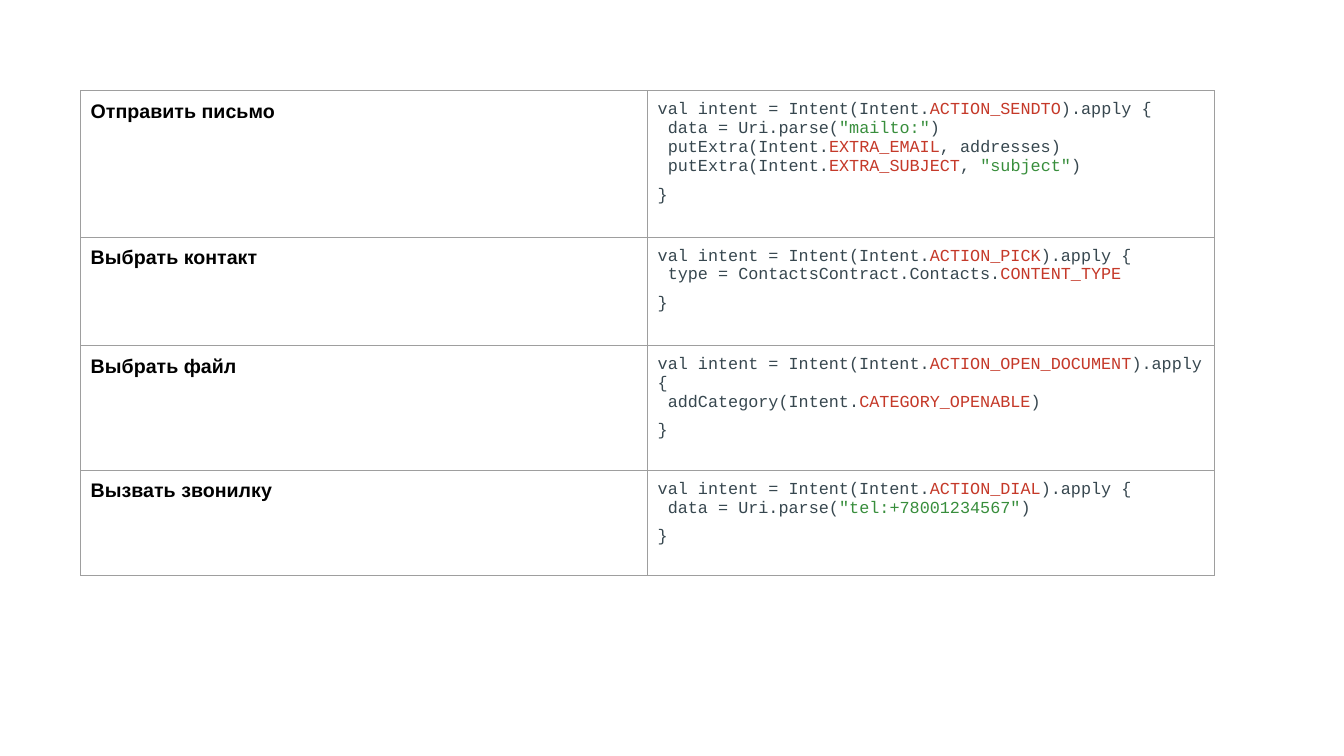
import dataclasses

import lxml.etree
import pptx
import pptx.dml.color
import pptx.oxml.ns
import pptx.util

Pt = pptx.util.Pt


@dataclasses.dataclass(frozen=True)
class Theme:
    label_font: str = "Arial"
    code_font: str = "Courier New"
    label_size: int = 14
    code_size: int = 12
    label: str = "000000"
    code: str = "37474F"
    constant: str = "C53929"
    string: str = "388E3C"
    border: str = "9E9E9E"
    border_width: float = 0.75
    cell_margin: float = 7.2
    closing_spacing: float = 1.5


THEME = Theme()

# Task, row height, code lines; "|" separates differently coloured parts
INTENTS = [
    ("Отправить письмо", 104.5, [
        "val intent = Intent(Intent.|ACTION_SENDTO|).apply {",
        ' data = Uri.parse(|"mailto:"|)',
        " putExtra(Intent.|EXTRA_EMAIL|, addresses)",
        ' putExtra(Intent.|EXTRA_SUBJECT|, |"subject"|)',
        "}",
    ]),
    ("Выбрать контакт", 77.25, [
        "val intent = Intent(Intent.|ACTION_PICK|).apply {",
        " type = ContactsContract.Contacts.|CONTENT_TYPE",
        "}",
    ]),
    ("Выбрать файл", 89.25, [
        "val intent = Intent(Intent.|ACTION_OPEN_DOCUMENT|).apply {",
        " addCategory(Intent.|CATEGORY_OPENABLE|)",
        "}",
    ]),
    ("Вызвать звонилку", 75, [
        "val intent = Intent(Intent.|ACTION_DIAL|).apply {",
        ' data = Uri.parse(|"tel:+78001234567"|)',
        "}",
    ]),
]


def format_span(span, font, size, color, bold=False):
    span.font.name = font
    span.font.size = Pt(size)
    span.font.bold = bold
    span.font.color.rgb = pptx.dml.color.RGBColor.from_string(color)


def code_color(text):
    if text.startswith('"'):
        return THEME.string
    return THEME.constant if text.isupper() else THEME.code


def style_cell(cell):
    """Give the cell even margins, thin grey borders and no fill."""
    cell.margin_left = cell.margin_right = Pt(THEME.cell_margin)
    cell.margin_top = cell.margin_bottom = Pt(THEME.cell_margin)
    qn = pptx.oxml.ns.qn
    properties = cell._tc.get_or_add_tcPr()
    for side in ("lnL", "lnR", "lnT", "lnB"):
        line = lxml.etree.SubElement(
            properties, qn("a:" + side), w=str(Pt(THEME.border_width)))
        fill = lxml.etree.SubElement(line, qn("a:solidFill"))
        lxml.etree.SubElement(fill, qn("a:srgbClr"), val=THEME.border)
    cell.fill.background()


def write_label(cell, text):
    cell.text_frame.text = text
    span = cell.text_frame.paragraphs[0].runs[0]
    format_span(span, THEME.label_font, THEME.label_size, THEME.label, bold=True)


def write_code(cell, lines):
    frame = cell.text_frame
    for index, line in enumerate(lines):
        para = frame.add_paragraph() if index else frame.paragraphs[0]
        for part in line.split("|"):
            span = para.add_run()
            span.text = part
            format_span(span, THEME.code_font, THEME.code_size, code_color(part))
    frame.paragraphs[-1].line_spacing = THEME.closing_spacing


def add_intent_table(page, left, top, width):
    """Place the task and code table in the given box."""
    height = sum(row_height for _, row_height, _ in INTENTS)
    table = page.shapes.add_table(
        len(INTENTS), 2, Pt(left), Pt(top), Pt(width), Pt(height)).table
    table.first_row = table.horz_banding = False
    for column in table.columns:
        column.width = Pt(width / 2)
    for index, (task, row_height, lines) in enumerate(INTENTS):
        table.rows[index].height = Pt(row_height)
        label_cell, code_cell = table.rows[index].cells
        style_cell(label_cell)
        style_cell(code_cell)
        write_label(label_cell, task)
        write_code(code_cell, lines)


def main():
    deck = pptx.Presentation()
    deck.slide_width, deck.slide_height = Pt(960), Pt(540)
    page = deck.slides.add_slide(deck.slide_layouts[6])
    add_intent_table(page, left=57.6, top=64.8, width=810)
    deck.save("out.pptx")


if __name__ == "__main__":
    main()
